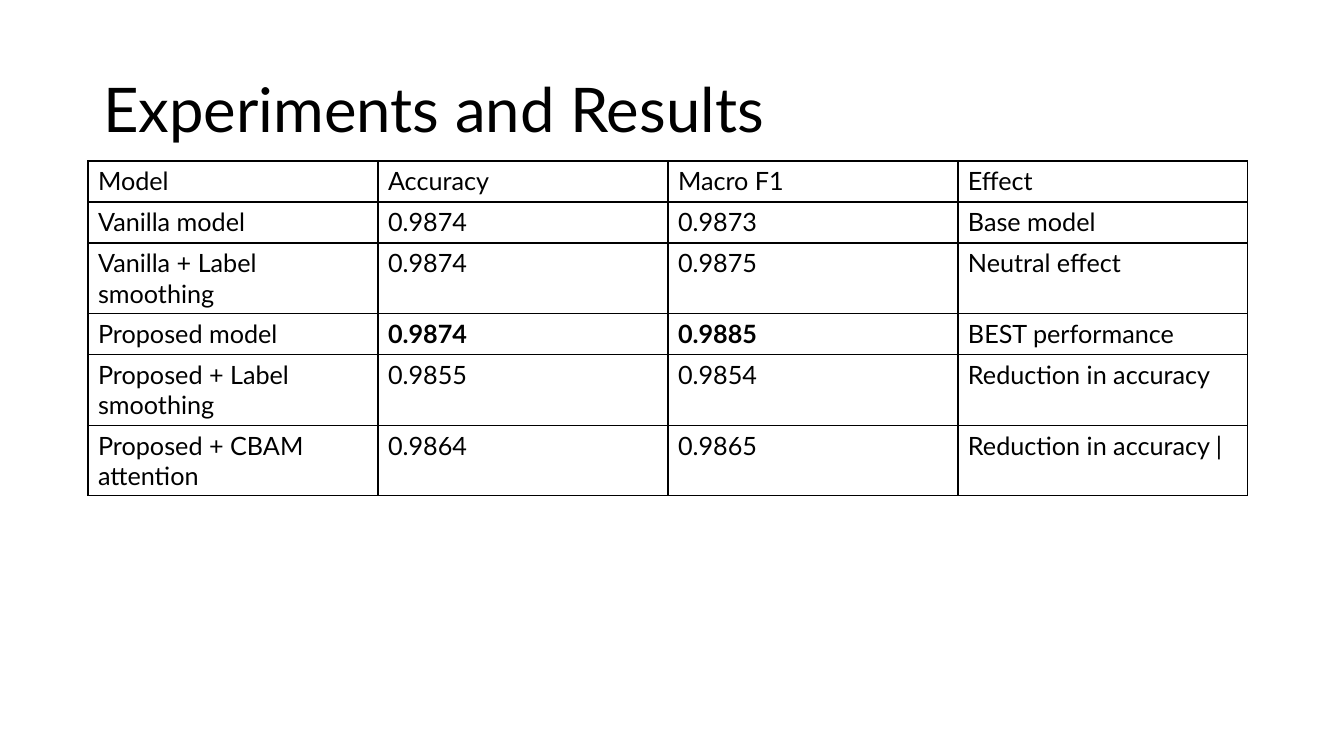
from lxml import etree
from pptx import Presentation
from pptx.dml.color import RGBColor
from pptx.enum.text import MSO_ANCHOR, MSO_AUTO_SIZE, PP_ALIGN
from pptx.oxml.ns import qn
from pptx.util import Pt

MIDDLE = MSO_ANCHOR.MIDDLE
TOP = MSO_ANCHOR.TOP
FIXED = MSO_AUTO_SIZE.NONE
LEFT = PP_ALIGN.LEFT
SCALE = 914400 / 100.8
COLORS = {"ink": "000000", "paper": "FFFFFF"}

HEAD = ["Model", "Accuracy", "Macro F1", "Effect"]
RESULTS = [
    ["Vanilla model", "0.9874", "0.9873", "Base model"],
    ["Vanilla + Label smoothing", "0.9874", "0.9875", "Neutral effect"],
    ["Proposed model", "0.9874", "0.9885", "BEST performance"],
    ["Proposed + Label smoothing", "0.9855", "0.9854", "Reduction in accuracy"],
    ["Proposed + CBAM attention", "0.9864", "0.9865", "Reduction in accuracy |"],
]
BEST = {(3, 1), (3, 2)}


def px(size):
    return round(size * SCALE)


class Deck:
    font = "Lato"

    def __init__(self, wide, high):
        self.prs = Presentation()
        self.prs.slide_width = px(wide)
        self.prs.slide_height = px(high)
        self.slide = self.prs.slides.add_slide(self.prs.slide_layouts[5])
        fill = self.slide.background.fill
        fill.solid()
        fill.fore_color.rgb = RGBColor.from_string(COLORS["paper"])

    def add_text(self, para, text, size, bold=False):
        para.alignment = LEFT
        run = para.add_run()
        run.text = text
        run.font.name = self.font
        run.font.size = Pt(size)
        run.font.bold = bold
        run.font.color.rgb = RGBColor.from_string(COLORS["ink"])

    def title(self, text, left, top, wide, high):
        shape = self.slide.shapes.title
        shape.left, shape.top = px(left), px(top)
        shape.width, shape.height = px(wide), px(high)
        frame = shape.text_frame
        frame.auto_size = FIXED
        frame.word_wrap = True
        frame.vertical_anchor = MIDDLE
        para = frame.paragraphs[0]
        para.line_spacing = 0.9
        self.add_text(para, text, 44)

    def border(self, cell):
        props = cell._tc.get_or_add_tcPr()
        for side in ("lnL", "lnR", "lnT", "lnB"):
            line = etree.SubElement(props, qn("a:" + side), w=str(Pt(1)))
            fill = etree.SubElement(line, qn("a:solidFill"))
            etree.SubElement(fill, qn("a:srgbClr"), val=COLORS["ink"])

    def table(self, rows, best, left, top, wide, high):
        count = len(rows[0])
        frame = self.slide.shapes.add_table(
            len(rows), count, px(left), px(top), px(wide * count), px(high * len(rows))
        )
        grid = frame.table
        grid.first_row = False
        grid.horz_banding = False
        for col in grid.columns:
            col.width = px(wide)
        for r, row in enumerate(rows):
            grid.rows[r].height = px(high)
            for c, text in enumerate(row):
                cell = grid.cell(r, c)
                cell.vertical_anchor = TOP
                self.border(cell)
                cell.fill.background()
                self.add_text(cell.text_frame.paragraphs[0], text, 18, (r, c) in best)


def main():
    deck = Deck(1344, 756)
    deck.title("Experiments and Results", 93, 40, 1159, 146)
    deck.table([HEAD] + RESULTS, BEST, 88, 161, 290, 41)
    deck.prs.save("out.pptx")


if __name__ == "__main__":
    main()
